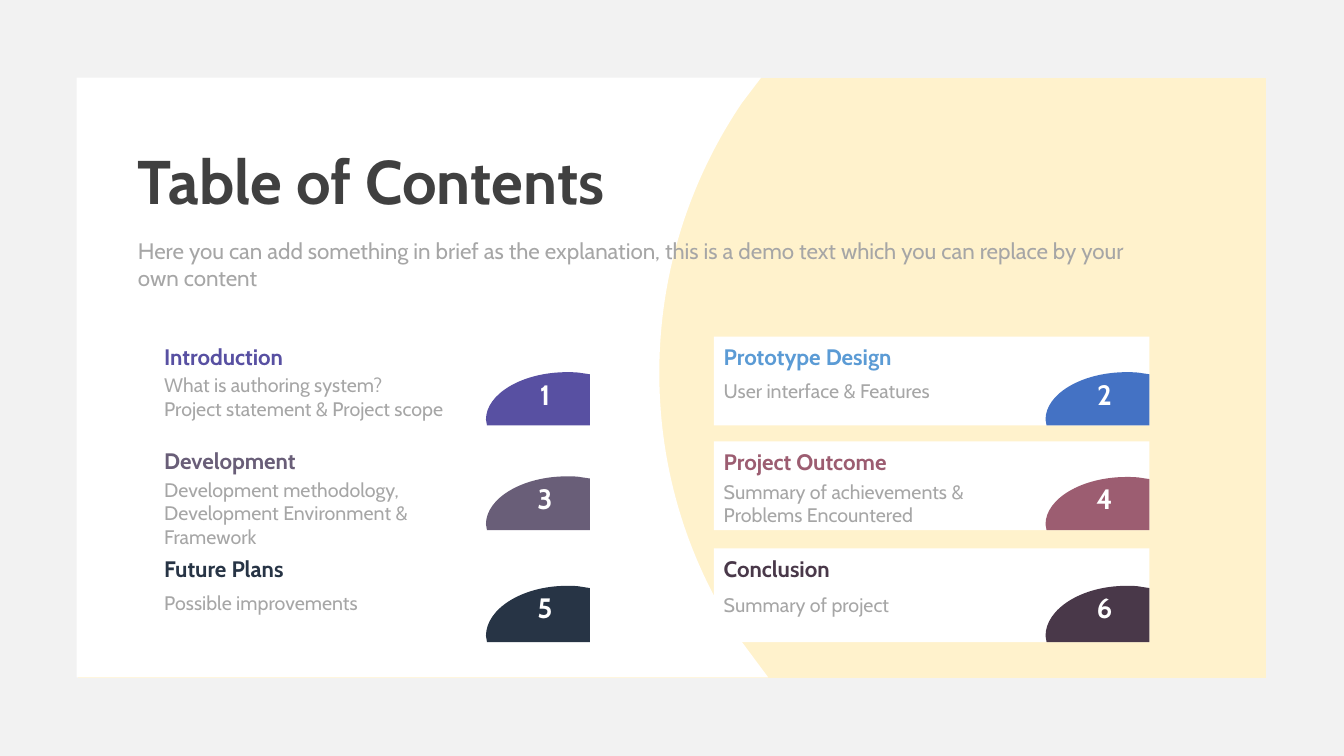
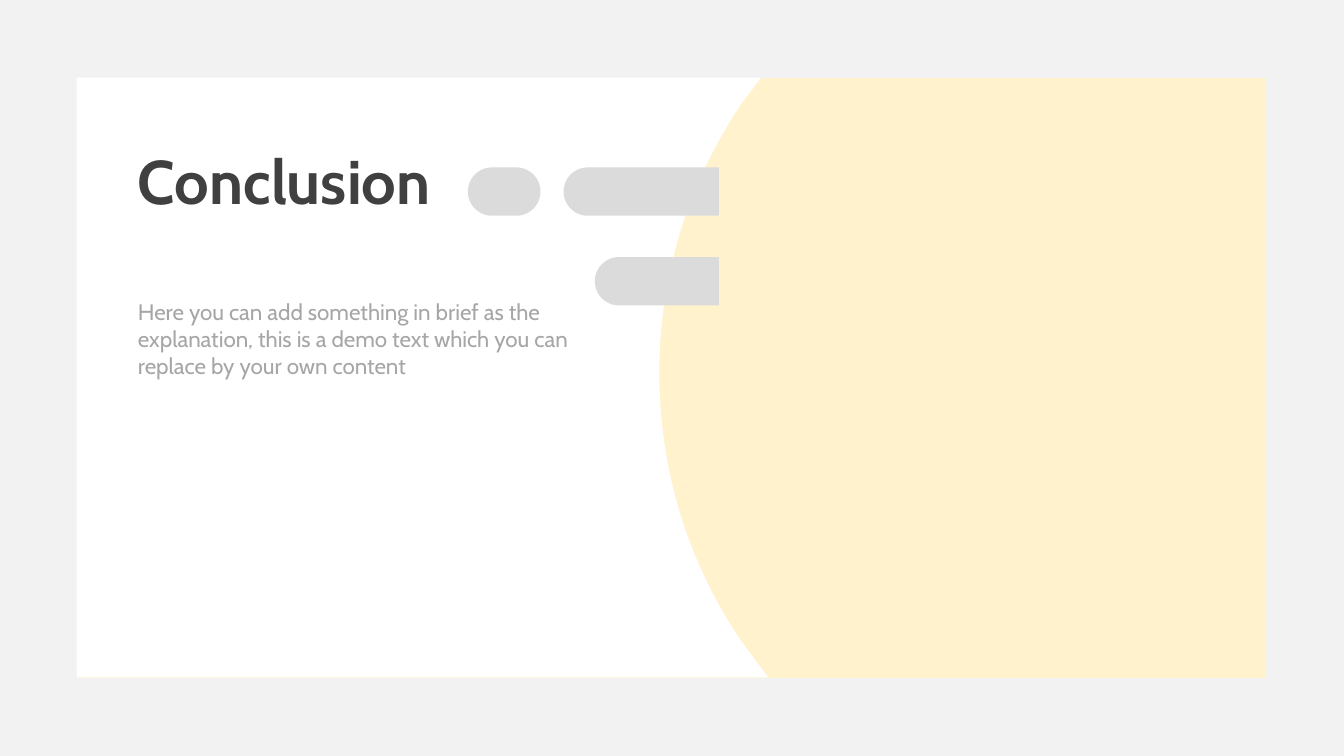
from lxml.etree import SubElement
from pptx import Presentation
from pptx.dml.color import RGBColor
from pptx.enum.shapes import MSO_SHAPE
from pptx.enum.text import MSO_AUTO_SIZE, PP_ALIGN
from pptx.oxml.ns import qn
from pptx.util import Inches, Pt

FONT = "Cabin"
WHITE, CREAM, FRAME = "FFFFFF", "FFF2CC", "F2F2F2"
DARK, GRAY, PILL = "404040", "A6A6A6", "DBDBDB"

INTRO = ("Here you can add something in brief as the explanation, "
         "this is a demo text which you can replace by your own content")

COLUMNS = (1.53, 7.08)
CARD_W, TAB_W, TAB_SHARE = 4.32, 1.03, 0.6

CARDS = [
    dict(title="Introduction", text="What is authoring system?\nProject statement & Project scope",
         top=3.34, height=0.88, text_top=3.65, color="5850A2"),
    dict(title="Prototype Design", text="User interface & Features",
         top=3.34, height=0.88, text_top=3.71, color="4472C4", title_color="5B9BD5"),
    dict(title="Development", text="Development methodology,\nDevelopment Environment & Framework",
         top=4.37, height=0.89, text_top=4.69, color="695E78"),
    dict(title="Project Outcome", text="Summary of achievements &\nProblems Encountered",
         top=4.38, height=0.88, text_top=4.71, color="9C5D71"),
    dict(title="Future Plans", text="Possible improvements",
         top=5.44, height=0.93, text_top=5.81, color="273445"),
    dict(title="Conclusion", text="Summary of project",
         top=5.44, height=0.93, text_top=5.83, color="493849"),
]

PILLS = [
    (MSO_SHAPE.ROUND_2_SAME_RECTANGLE, 5.59, 1.66, 1.54),
    (MSO_SHAPE.ROUND_2_SAME_RECTANGLE, 5.9, 2.55, 1.23),
    (MSO_SHAPE.ROUNDED_RECTANGLE, 4.64, 1.66, 0.72),
]
PILL_H = 0.48

PANEL = [
    (0.76, 0.77), (7.55, 0.77), (7.36, 1.02),
    (6.84, 1.79, 6.54, 2.71, 6.54, 3.7),
    (6.54, 4.69, 6.84, 5.61, 7.36, 6.37),
    (7.62, 6.72), (0.76, 6.72),
]
TAB = [
    (0.78, 0), (0.83, 0, 0.88, 0, 0.93, 0.02), (1, 0.04), (1, 1), (0.01, 1),
    (0, 0.89), (0, 0.41, 0.35, 0, 0.78, 0),
]


def rgb(value):
    return RGBColor.from_string(value)


def paint(sp, color):
    sp.shadow.inherit = False
    sp.fill.solid()
    sp.fill.fore_color.rgb = rgb(color)
    sp.line.fill.background()
    return sp


def add_shape(shapes, kind, x, y, w, h, color):
    return paint(shapes.add_shape(kind, Inches(x), Inches(y), Inches(w), Inches(h)), color)


def add_outline(shapes, outline, color, x=0, y=0, w=1, h=1):
    steps = [[(Inches(x + px * w), Inches(y + py * h))
              for px, py in zip(step[::2], step[1::2])] for step in outline]
    anchors = [step[-1] for step in steps]
    builder = shapes.build_freeform(*anchors[0])
    builder.add_line_segments(anchors[1:], close=True)
    sp = builder.convert_to_shape()
    left, top = min(a[0] for a in anchors), min(a[1] for a in anchors)
    segments = list(sp.element.iter(qn("a:lnTo")))
    for segment, step in zip(segments, steps[1:]):
        if len(step) == 3:
            curve = segment.makeelement(qn("a:cubicBezTo"))
            for px, py in step:
                SubElement(curve, qn("a:pt"), x=str(px - left), y=str(py - top))
            segment.getparent().replace(segment, curve)
    return paint(sp, color)


def add_text(shapes, text, x, y, w, h, size, color, bold=False, align=PP_ALIGN.LEFT):
    tf = shapes.add_textbox(Inches(x), Inches(y), Inches(w), Inches(h)).text_frame
    tf.word_wrap = True
    tf.auto_size = MSO_AUTO_SIZE.SHAPE_TO_FIT_TEXT
    tf.text = text
    for p in tf.paragraphs:
        p.alignment = align
        for r in p.runs:
            r.font.name = FONT
            r.font.size = Pt(size)
            r.font.bold = bold
            r.font.color.rgb = rgb(color)


def new_slide(prs):
    s = prs.slides.add_slide(prs.slide_layouts[6])
    frame = add_shape(s.shapes, MSO_SHAPE.FRAME, 0, 0, 13.33, 7.5, FRAME)
    frame.adjustments[0] = 0.103
    add_outline(s.shapes, PANEL, WHITE)
    return s


def add_title(s, title, w):
    add_text(s.shapes, title, 1.27, 1.37, w, 0.84, 44, DARK, True)


def add_card(s, index, card):
    x, top, height, color = COLUMNS[index % 2], card["top"], card["height"], card["color"]
    tab_h = height * TAB_SHARE
    tab_x, tab_y = x + CARD_W - TAB_W, top + height - tab_h
    shapes = s.shapes.add_group_shape().shapes
    add_shape(shapes, MSO_SHAPE.RECTANGLE, x, top, CARD_W, height, WHITE)
    add_outline(shapes, TAB, color, tab_x, tab_y, TAB_W, tab_h)
    add_text(shapes, str(index + 1), tab_x + 0.1, tab_y, 0.97, tab_h + 0.04,
             20, WHITE, True, PP_ALIGN.CENTER)
    lines = card["text"].count("\n") + 1
    add_text(shapes, card["text"], x, card["text_top"], 3.33, 0.1 + 0.24 * lines, 14, GRAY)
    add_text(shapes, card["title"], x, top + 0.02, 3.97, 0.37,
             16, card.get("title_color", color), True)


def add_pill(s, kind, x, y, length):
    shift = (length - PILL_H) / 2
    sp = add_shape(s.shapes, kind, x + shift, y - shift, PILL_H, length, PILL)
    sp.rotation = 270
    sp.adjustments[0] = 0.5


def main():
    prs = Presentation()
    prs.slide_width, prs.slide_height = Inches(13.33), Inches(7.5)
    background = prs.slide_master.background.fill
    background.solid()
    background.fore_color.rgb = rgb(CREAM)

    s = new_slide(prs)
    for index, card in enumerate(CARDS):
        add_card(s, index, card)
    add_title(s, "Table of Contents", 5.39)
    add_text(s.shapes, INTRO, 1.27, 2.3, 10.13, 0.64, 16, GRAY)

    s = new_slide(prs)
    for pill in PILLS:
        add_pill(s, *pill)
    add_title(s, "Conclusion", 3.37)
    add_shape(s.shapes, MSO_SHAPE.RECTANGLE, 1.15, 2.95, 4.44, 0.86, WHITE)
    add_text(s.shapes, INTRO, 1.27, 2.91, 4.5, 0.91, 16, GRAY)

    prs.save("out.pptx")


if __name__ == "__main__":
    main()
